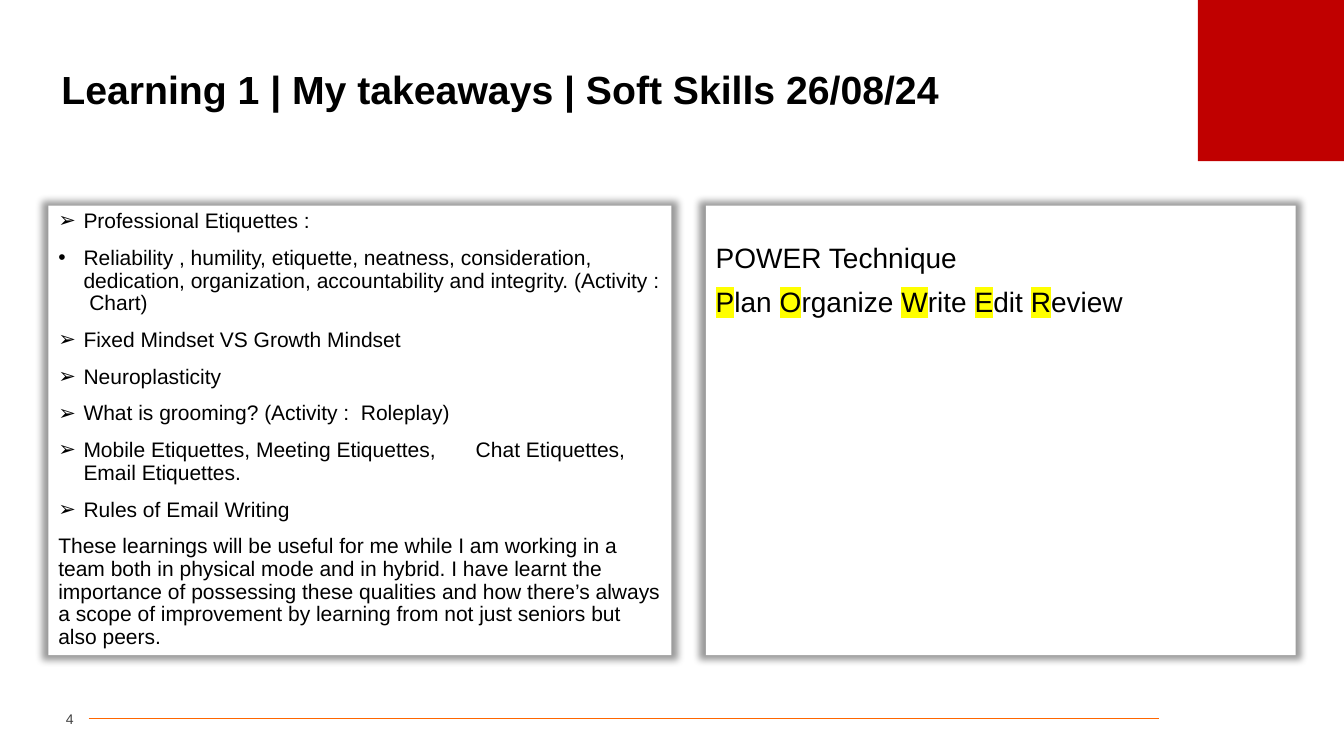
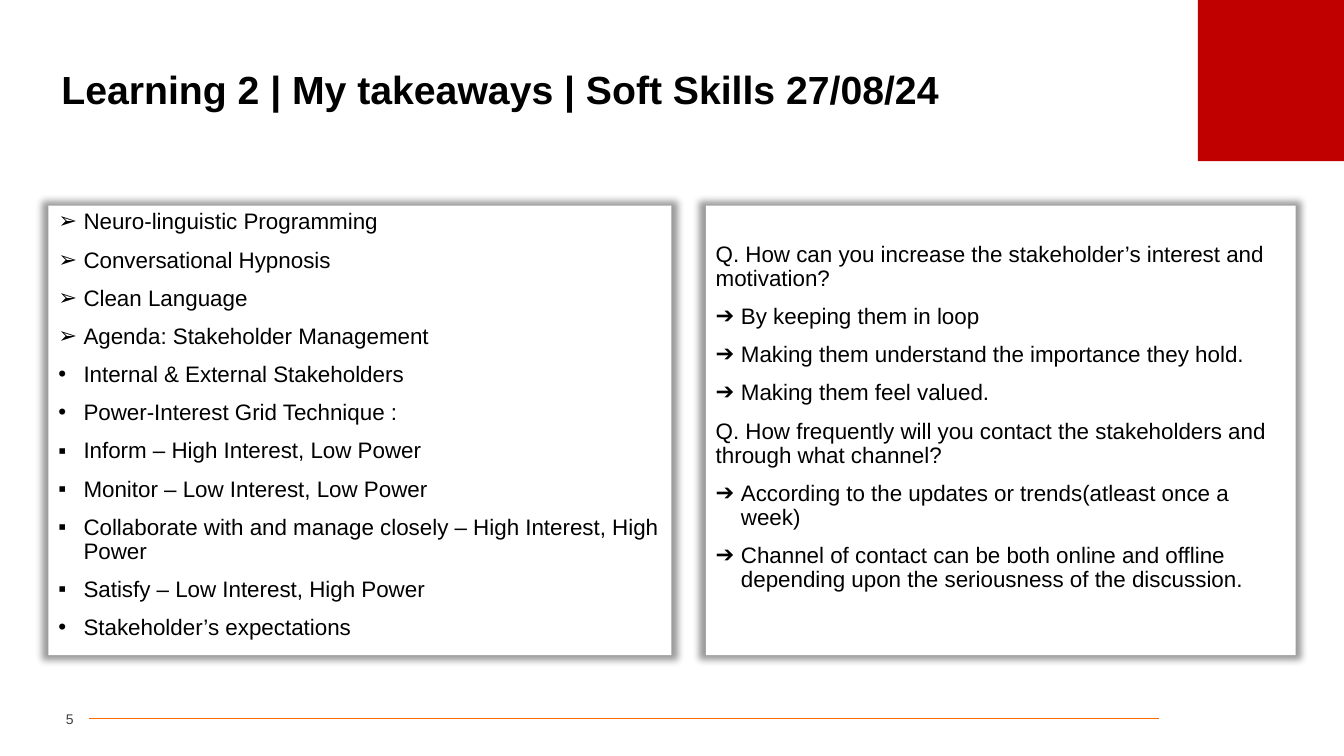
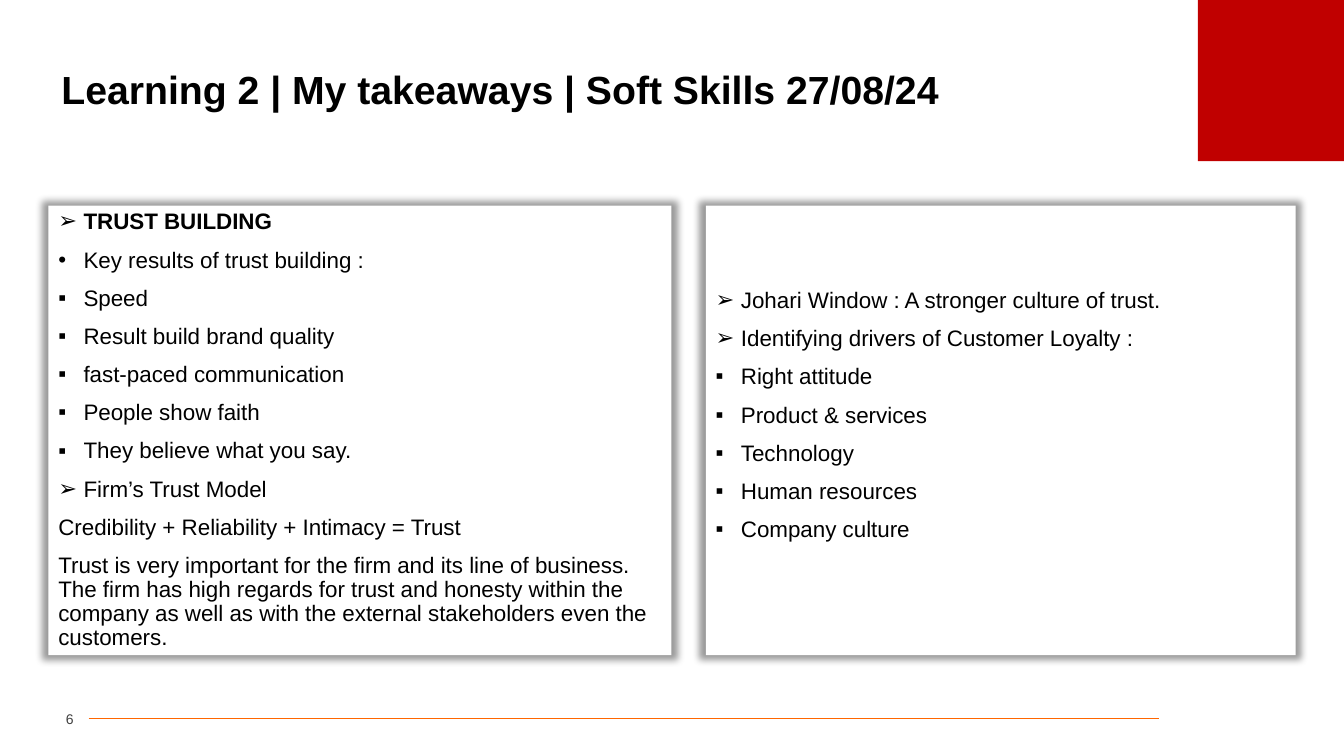
from dataclasses import dataclass
from lxml.etree import SubElement
from pptx import Presentation
from pptx.dml.color import RGBColor
from pptx.enum.shapes import MSO_CONNECTOR, MSO_SHAPE
from pptx.enum.text import MSO_ANCHOR, PP_ALIGN
from pptx.oxml import parse_xml
from pptx.oxml.ns import nsdecls, qn
from pptx.util import Inches, Pt


@dataclass(frozen=True)
class Theme:
    font: str = "Arial"
    ink: str = "000000"
    paper: str = "FFFFFF"
    red: str = "C00000"
    orange: str = "FF6600"
    grey: str = "404040"
    yellow: str = "FFFF00"
    title: int = 28
    large: int = 20
    body: int = 16
    dense: int = 15
    small: int = 10


THEME = Theme()
LEFT = (0.48, 2.04, 6.18, 4.46)
RIGHT = (7, 2.04, 5.85, 4.46)
INDENT = 0.25


# Shared helpers
def place(box):
    return [Inches(v) for v in box]


def style(run, size, color=THEME.ink, bold=False):
    font = run.font
    font.name, font.size, font.bold = THEME.font, Pt(size), bold
    font.color.rgb = RGBColor.from_string(color)


def block(slide, box, color):
    shape = slide.shapes.add_shape(MSO_SHAPE.RECTANGLE, *place(box))
    shape.shadow.inherit = False
    shape.fill.solid()
    shape.fill.fore_color.rgb = RGBColor.from_string(color)
    shape.line.fill.background()
    return shape


def glow(shape):
    effects = shape.element.spPr.find(qn("a:effectLst"))
    effects.append(parse_xml(
        f'<a:outerShdw {nsdecls("a")} blurRad="{Pt(5)}" sx="102000" sy="102000" '
        f'algn="ctr" rotWithShape="0"><a:srgbClr val="{THEME.ink}">'
        '<a:alpha val="40000"/></a:srgbClr></a:outerShdw>'))


# Emphasis for the parts of a line set between asterisks
def bold(run):
    run.font.bold = True


def high(run):
    fill = run.font.fill._xPr.find(qn("a:solidFill"))
    fill.addnext(parse_xml(
        f'<a:highlight {nsdecls("a")}><a:srgbClr val="{THEME.yellow}"/></a:highlight>'))


def bullet(para, sign):
    props = para._p.get_or_add_pPr()
    props.set("marL", str(Inches(INDENT)))
    props.set("indent", str(-Inches(INDENT)))
    SubElement(props, qn("a:buFont"), typeface=THEME.font)
    SubElement(props, qn("a:buChar"), char=sign)


def tab(para, stop):
    tabs = SubElement(para._p.get_or_add_pPr(), qn("a:tabLst"))
    SubElement(tabs, qn("a:tab"), pos=str(Inches(stop)), algn="l")


# Title, corner block and footer
def frame(slide, title, number):
    head = slide.shapes.title
    head.left, head.top, head.width, head.height = place((0.51, 0.52, 12.31, 0.78))
    head.text_frame.text = title
    head.text_frame.vertical_anchor = MSO_ANCHOR.MIDDLE
    para = head.text_frame.paragraphs[0]
    para.alignment, para.line_spacing = PP_ALIGN.LEFT, 0.9
    style(para.runs[0], THEME.title, bold=True)

    block(slide, (11.88, 0, 1.45, 1.6), THEME.red)

    rule = slide.shapes.add_connector(
        MSO_CONNECTOR.STRAIGHT, *place((0.88, 7.13, 11.5, 7.13)))
    rule.line.color.rgb = RGBColor.from_string(THEME.orange)
    rule.line.width = Pt(0.5)
    SubElement(rule.element.spPr, qn("a:effectLst"))

    text = slide.shapes.add_textbox(*place((0.33, 6.99, 0.4, 0.29))).text_frame
    text.word_wrap = True
    text.margin_left = text.margin_right = 0
    text.vertical_anchor = MSO_ANCHOR.MIDDLE
    text.text = str(number)
    text.paragraphs[0].alignment = PP_ALIGN.RIGHT
    style(text.paragraphs[0].runs[0], THEME.small, THEME.grey)


# Shadowed panel; each line is a bullet sign (or none) and its text
def panel(slide, box, lines, size=THEME.body, top=0.05, mark=bold, stop=None):
    shape = block(slide, box, THEME.paper)
    glow(shape)
    text = shape.text_frame
    text.word_wrap = True
    text.vertical_anchor = MSO_ANCHOR.TOP
    text.margin_top = Inches(top)
    for i, (sign, line) in enumerate(lines):
        para = text.add_paragraph() if i else text.paragraphs[0]
        para.alignment, para.line_spacing = PP_ALIGN.LEFT, 0.9
        para.space_before = Pt(10 if i else 0)
        if sign:
            bullet(para, sign)
        if "\t" in line:
            tab(para, stop)
        for j, part in enumerate(line.split("*")):
            if part:
                run = para.add_run()
                run.text = part
                style(run, size)
                if j % 2:
                    mark(run)


def page(deck, number, title, left, right):
    slide = deck.slides.add_slide(deck.slide_layouts[5])
    frame(slide, title, number)
    panel(slide, LEFT, **left)
    panel(slide, RIGHT, **right)


PAGES = [
    ("Learning 1 | My takeaways | Soft Skills 26/08/24",
     dict(size=THEME.dense, stop=4.14, lines=[
         ("➢", "Professional Etiquettes :"),
         ("•", "Reliability , humility, etiquette, neatness, consideration, dedication, "
               "organization, accountability and integrity. (Activity :  Chart)"),
         ("➢", "Fixed Mindset VS Growth Mindset"),
         ("➢", "Neuroplasticity"),
         ("➢", "What is grooming? (Activity :  Roleplay)"),
         ("➢", "Mobile Etiquettes, Meeting Etiquettes,\tChat Etiquettes, Email Etiquettes."),
         ("➢", "Rules of Email Writing"),
         ("", "These learnings will be useful for me while I am working in a team both in "
              "physical mode and in hybrid. I have learnt the importance of possessing "
              "these qualities and how there’s always a scope of improvement by learning "
              "from not just seniors but also peers."),
     ]),
     dict(size=THEME.large, top=0.38, mark=high, lines=[
         ("", "POWER Technique"),
         ("", "*P*lan *O*rganize *W*rite *E*dit *R*eview"),
     ])),
    ("Learning 2 | My takeaways | Soft Skills 27/08/24",
     dict(lines=[
         ("➢", "Neuro-linguistic Programming"),
         ("➢", "Conversational Hypnosis"),
         ("➢", "Clean Language"),
         ("➢", "Agenda: Stakeholder Management"),
         ("•", "Internal & External Stakeholders"),
         ("•", "Power-Interest Grid Technique :"),
         ("▪", "Inform – High Interest, Low Power"),
         ("▪", "Monitor – Low Interest, Low Power"),
         ("▪", "Collaborate with and manage closely – High Interest, High Power"),
         ("▪", "Satisfy – Low Interest, High Power"),
         ("•", "Stakeholder’s expectations"),
     ]),
     dict(top=0.37, lines=[
         ("", "Q. How can you increase the stakeholder’s interest and motivation?"),
         ("➔", "By keeping them in loop"),
         ("➔", "Making them understand the importance they hold."),
         ("➔", "Making them feel valued."),
         ("", "Q. How frequently will you contact the stakeholders and through what channel?"),
         ("➔", "According to the updates or trends(atleast once a week)"),
         ("➔", "Channel of contact can be both online and offline depending upon the "
               "seriousness of the discussion."),
     ])),
    ("Learning 2 | My takeaways | Soft Skills 27/08/24",
     dict(lines=[
         ("➢", "*TRUST BUILDING*"),
         ("•", "Key results of trust building :"),
         ("▪", "Speed"),
         ("▪", "Result build brand quality"),
         ("▪", "fast-paced communication"),
         ("▪", "People show faith"),
         ("▪", "They believe what you say."),
         ("➢", "Firm’s Trust Model"),
         ("", "Credibility + Reliability + Intimacy = Trust"),
         ("", "Trust is very important for the firm and its line of business. The firm has high "
              "regards for trust and honesty within the company as well as with the "
              "external stakeholders even the customers."),
     ]),
     dict(top=0.83, lines=[
         ("➢", "Johari Window : A stronger culture of trust."),
         ("➢", "Identifying drivers of Customer Loyalty :"),
         ("▪", "Right attitude"),
         ("▪", "Product & services"),
         ("▪", "Technology"),
         ("▪", "Human resources"),
         ("▪", "Company culture"),
     ])),
]


def main():
    deck = Presentation()
    deck.slide_width, deck.slide_height = Inches(13.33), Inches(7.5)
    for number, (title, left, right) in enumerate(PAGES, 4):
        page(deck, number, title, left, right)
    deck.save("out.pptx")


if __name__ == "__main__":
    main()
